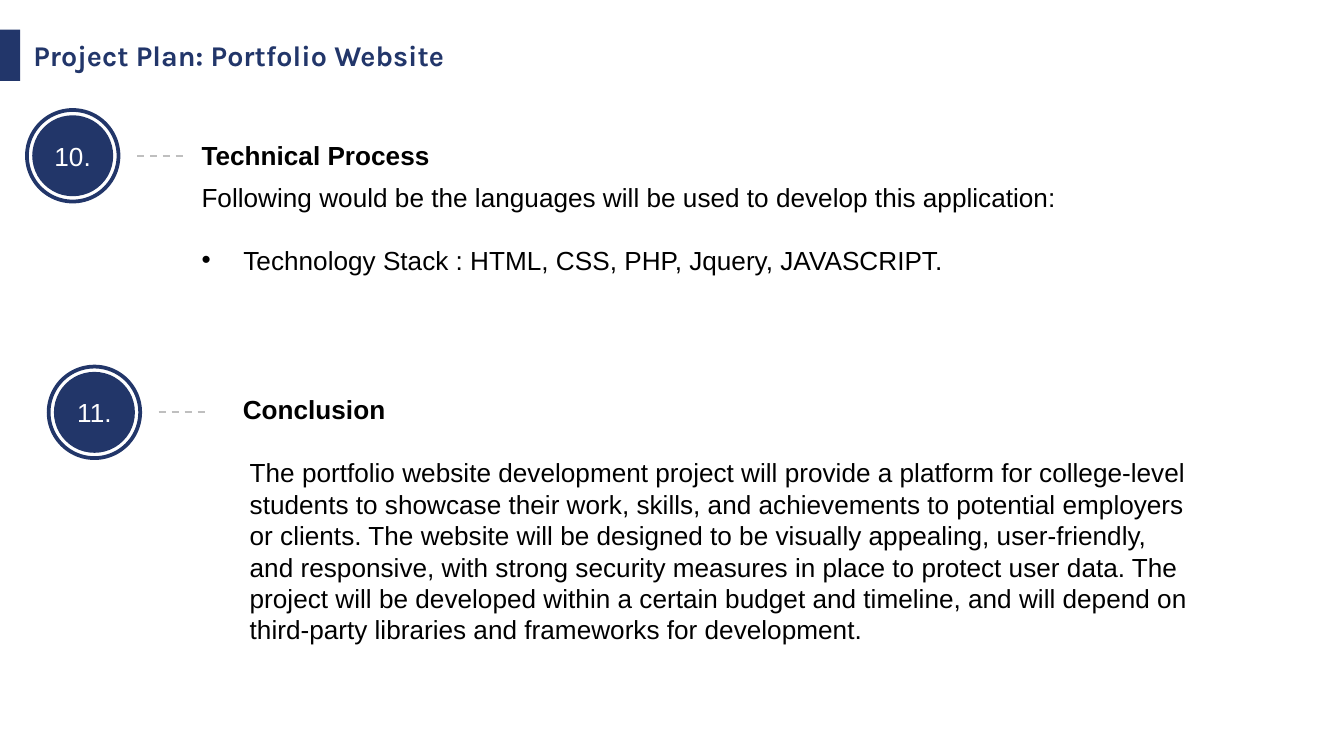
from lxml import etree
from pptx import Presentation
from pptx.dml.color import RGBColor
from pptx.enum.dml import MSO_LINE
from pptx.enum.shapes import MSO_CONNECTOR, MSO_SHAPE
from pptx.enum.text import MSO_ANCHOR, PP_ALIGN
from pptx.oxml.ns import qn
from pptx.util import Cm, Pt

RECTANGLE, OVAL = MSO_SHAPE.RECTANGLE, MSO_SHAPE.OVAL
STRAIGHT, DASH = MSO_CONNECTOR.STRAIGHT, MSO_LINE.DASH
TOP, MIDDLE = MSO_ANCHOR.TOP, MSO_ANCHOR.MIDDLE
LEFT, CENTER = PP_ALIGN.LEFT, PP_ALIGN.CENTER

COLORS = {
    "title": "22366A",
    "badge": "223669",
    "dash": "BFBFBF",
    "text": "000000",
    "number": "FFFFFF",
}
BADGE_SIZE = 1.73
RING_GAP = 0.1

SECTIONS = [
    {
        "number": "10.",
        "badge": (0.51, 2.08),
        "heading": "Technical Process",
        "heading_box": (3.56, 2.51, 18.72, 0.86),
        "body": "Following would be the languages will be used to develop this application:",
        "bullet": "Technology Stack : HTML, CSS, PHP, Jquery, JAVASCRIPT.",
        "body_box": (3.56, 3.3, 19.2, 2.06),
    },
    {
        "number": "11.",
        "badge": (0.92, 6.93),
        "heading": "Conclusion",
        "heading_box": (4.34, 7.32, 4.57, 0.86),
        "body": "The portfolio website development project will provide a platform for "
                "college-level students to showcase their work, skills, and achievements to "
                "potential employers or clients. The website will be designed to be visually "
                "appealing, user-friendly, and responsive, with strong security measures in "
                "place to protect user data. The project will be developed within a certain "
                "budget and timeline, and will depend on third-party libraries and frameworks "
                "for development.",
        "bullet": None,
        "body_box": (4.47, 8.51, 18.24, 4.45),
    },
]


def rgb(name):
    """Return the named colour."""
    return RGBColor.from_string(COLORS[name])


def add_run(paragraph, text, color="text", size=14, font="Arial", bold=False):
    """Append a formatted run to a paragraph."""
    run = paragraph.add_run()
    run.text = text
    run.font.name = font
    run.font.size = Pt(size)
    run.font.bold = bold
    run.font.color.rgb = rgb(color)


def add_text_box(slide, box, anchor=TOP):
    """Add a wrapping text box and return its text frame."""
    frame = slide.shapes.add_textbox(*map(Cm, box)).text_frame
    frame.word_wrap = True
    frame.vertical_anchor = anchor
    frame.paragraphs[0].alignment = LEFT
    return frame


def add_plain_shape(shapes, kind, box, fill=None, line=None):
    """Add a shadowless shape with an optional fill and outline."""
    shape = shapes.add_shape(kind, *map(Cm, box))
    shape.shadow.inherit = False
    if fill:
        shape.fill.solid()
        shape.fill.fore_color.rgb = rgb(fill)
    else:
        shape.fill.background()
    if line:
        shape.line.color.rgb = rgb(line)
        shape.line.width = Pt(2)
    else:
        shape.line.fill.background()
    return shape


def add_bullet(paragraph):
    """Give a paragraph a hanging round bullet."""
    properties = paragraph._p.get_or_add_pPr()
    properties.set("marL", str(Cm(0.79)))
    properties.set("indent", str(-Cm(0.79)))
    etree.SubElement(properties, qn("a:buFont"), typeface="Arial")
    etree.SubElement(properties, qn("a:buChar"), char="•")


def add_header(slide, left, top, width, height):
    """Place the accent bar and the slide title."""
    bar_width = 0.38
    add_plain_shape(slide.shapes, RECTANGLE, (left, top, bar_width, height), fill="title")
    frame = add_text_box(slide, (left + bar_width, top, width - bar_width, height), MIDDLE)
    add_run(frame.paragraphs[0], "Project Plan: Portfolio Website", "title", 15.3, "Karla", True)


def add_badge(slide, left, top, number):
    """Place a ringed number with its dashed leader as a group."""
    shapes = slide.shapes.add_group_shape().shapes
    disc_size = BADGE_SIZE - 2 * RING_GAP
    disc_box = (left + RING_GAP, top + RING_GAP, disc_size, disc_size)
    disc = add_plain_shape(shapes, OVAL, disc_box, fill="badge")
    frame = disc.text_frame
    frame.margin_left = frame.margin_right = Cm(0.1)
    frame.vertical_anchor = MIDDLE
    frame.paragraphs[0].alignment = CENTER
    add_run(frame.paragraphs[0], number, "number")
    add_plain_shape(shapes, OVAL, (left, top, BADGE_SIZE, BADGE_SIZE), line="badge")
    start, middle = left + 2.08, top + BADGE_SIZE / 2
    leader = shapes.add_connector(STRAIGHT, Cm(start), Cm(middle), Cm(start + 0.97), Cm(middle))
    leader.line.color.rgb = rgb("dash")
    leader.line.width = Pt(1)
    leader.line.dash_style = DASH
    etree.SubElement(leader._element.spPr, qn("a:effectLst"))


def add_section(slide, section):
    """Place a numbered badge, its heading and its body text."""
    add_badge(slide, *section["badge"], section["number"])
    heading = add_text_box(slide, section["heading_box"])
    add_run(heading.paragraphs[0], section["heading"], bold=True)
    body = add_text_box(slide, section["body_box"])
    add_run(body.paragraphs[0], section["body"])
    if section["bullet"]:
        paragraph = body.add_paragraph()
        add_bullet(paragraph)
        paragraph.space_before = Pt(16.8)
        add_run(paragraph, section["bullet"])


def main():
    """Build and save the presentation."""
    presentation = Presentation()
    presentation.slide_width, presentation.slide_height = Cm(25.4), Cm(14.29)
    slide = presentation.slides.add_slide(presentation.slide_layouts[6])
    add_header(slide, 0, 0.56, 22.28, 0.97)
    for section in SECTIONS:
        add_section(slide, section)
    presentation.save("out.pptx")


if __name__ == "__main__":
    main()
